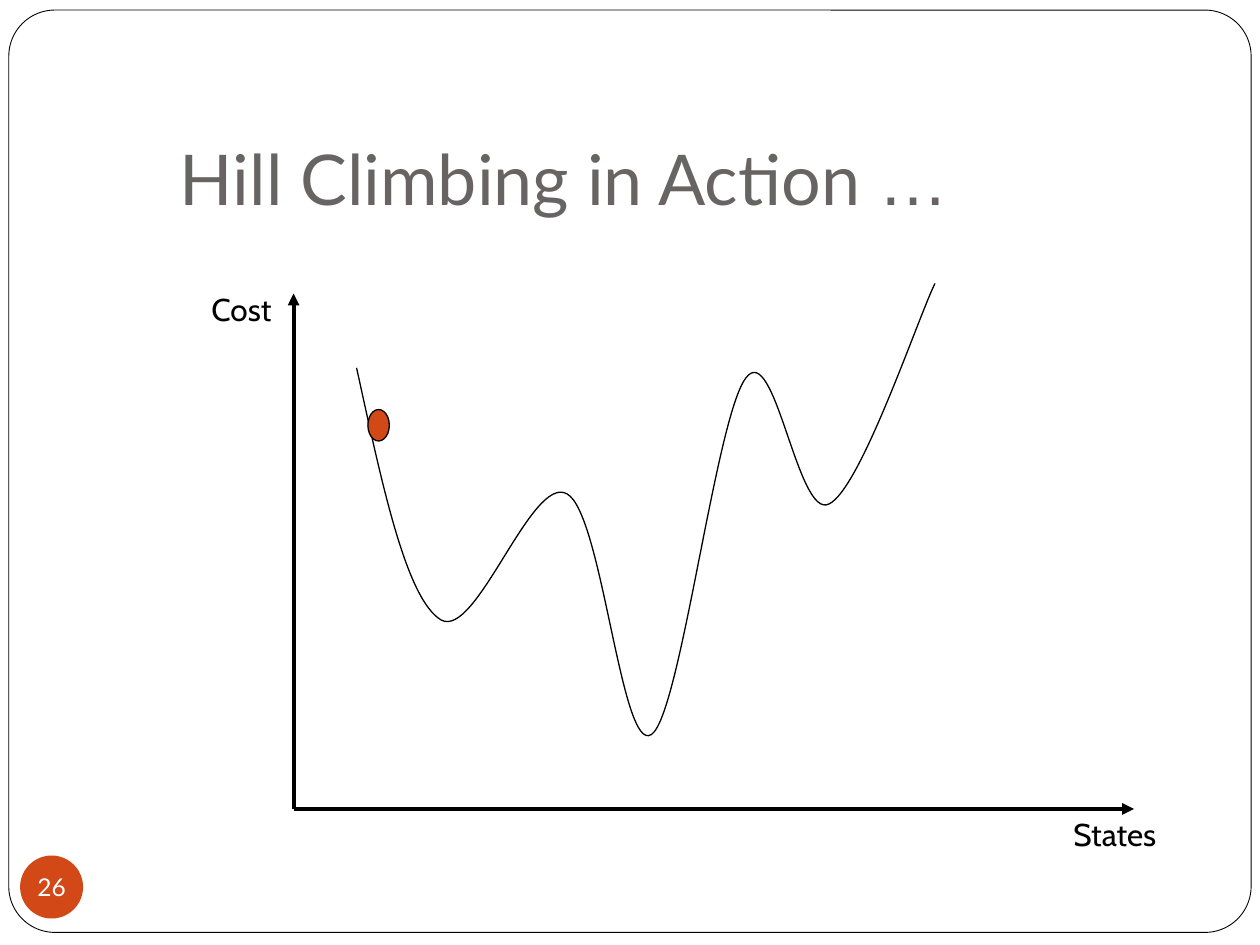
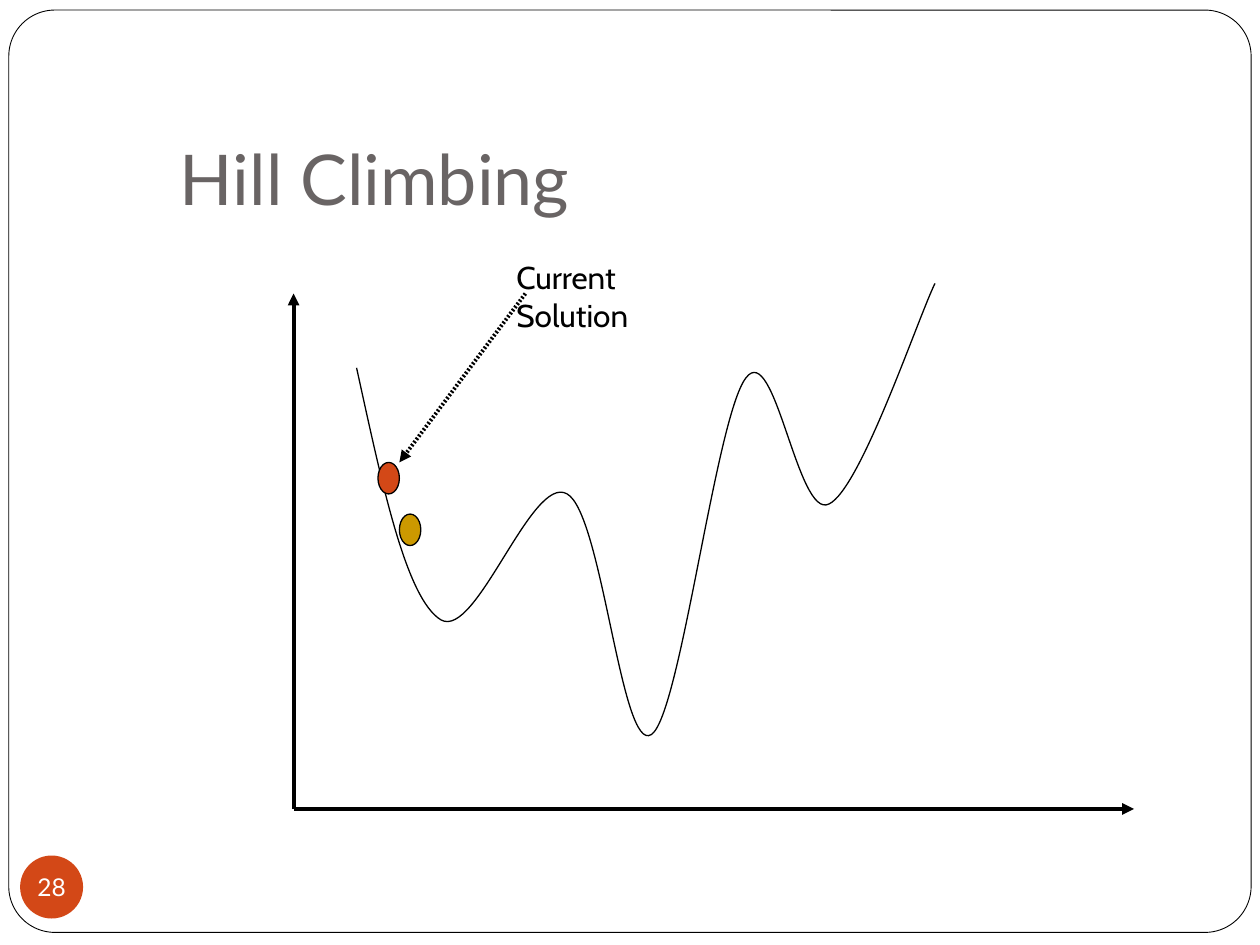
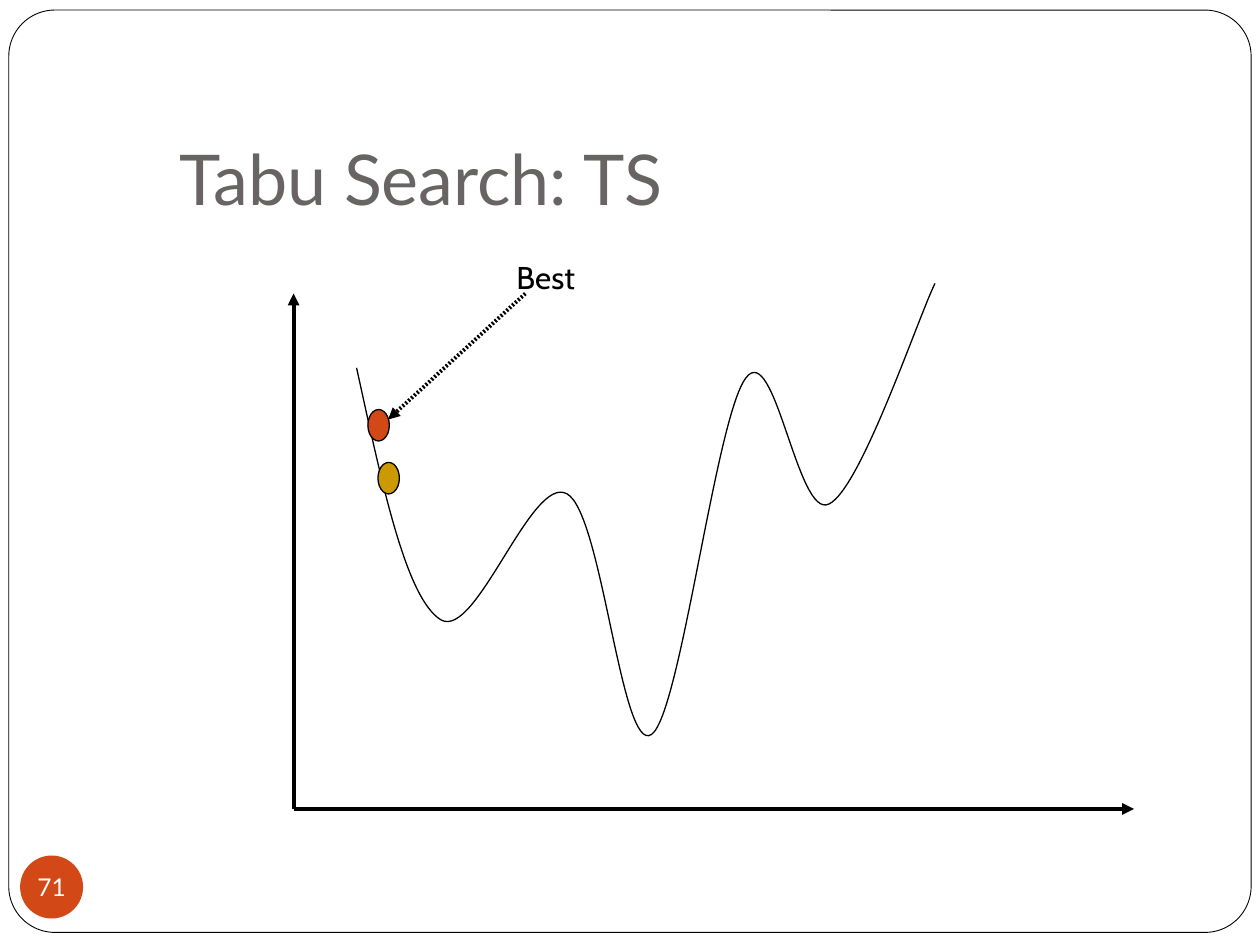
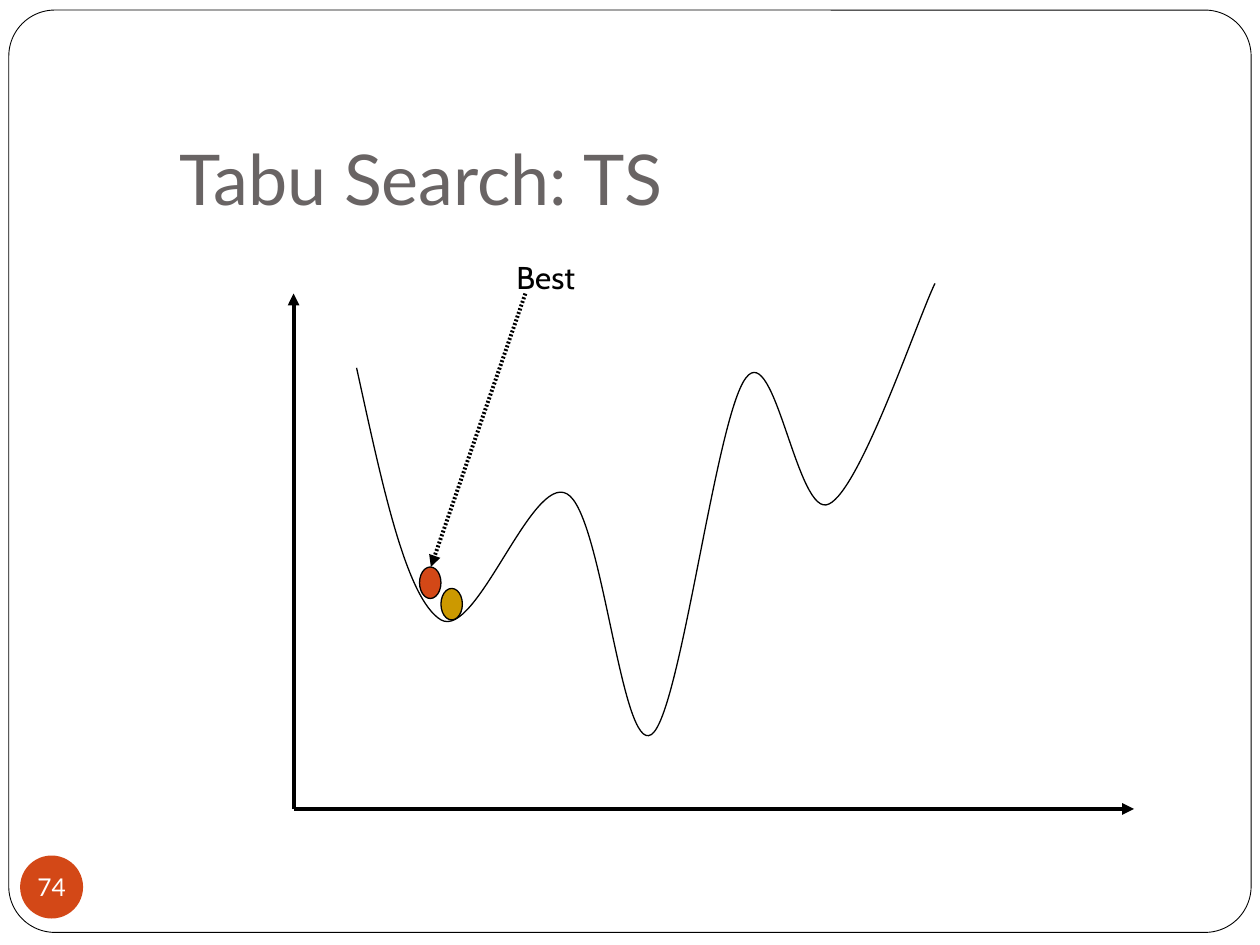
import pptx
import pptx.dml.color
import pptx.enum.shapes
import pptx.enum.text
import pptx.oxml
import pptx.oxml.ns
import pptx.util
from pptx.util import Inches

COLORS = {
    "paper": "FFFFFF",
    "ink": "000000",
    "title": "696464",
    "current": "D34817",
    "neighbour": "CC9900",
}
FONTS = {"heading": "Lato", "ellipsis": "Arial", "label": "Cabin"}
SHAPES = pptx.enum.shapes.MSO_SHAPE
ANCHOR = pptx.enum.text.MSO_ANCHOR
AUTO_SIZE = pptx.enum.text.MSO_AUTO_SIZE

ORIGIN = (2.33, 6.42)
COST_AXIS_END = (2.33, 2.33)
STATES_AXIS_END = (9, 6.42)
CALLOUT_START = (4.17, 2.33)
BALL_SIZE = (0.17, 0.25)

COST_CURVE_START = (2.83, 2.92)
# Each segment: two control points and an end point
COST_CURVE = [
    ((3.03, 3.83), (3.22, 4.75), (3.5, 4.92)),
    ((3.78, 5.08), (4.22, 3.76), (4.5, 3.92)),
    ((4.78, 4.07), (4.93, 5.99), (5.17, 5.83)),
    ((5.4, 5.68), (5.68, 3.31), (5.92, 3)),
    ((6.15, 2.69), (6.33, 4.13), (6.58, 4)),
    ((6.83, 3.88), (7.28, 2.54), (7.42, 2.25)),
]

SEARCH_STEPS = [
    {"title": "Hill Climbing", "page": 28, "callout": "Current Solution", "callout_height": 0.7,
     "current": (3, 3.67), "neighbour": (3.17, 4.08), "arrow_end": (3.17, 3.67)},
    {"title": "Tabu Search: TS", "page": 71, "callout": "Best", "callout_height": 0.4,
     "current": (2.92, 3.25), "neighbour": (3, 3.67), "arrow_end": (3.08, 3.33)},
    {"title": "Tabu Search: TS", "page": 74, "callout": "Best", "callout_height": 0.4,
     "current": (3.33, 4.5), "neighbour": (3.5, 4.67), "arrow_end": (3.42, 4.5)},
]


def rgb(name):
    return pptx.dml.color.RGBColor.from_string(COLORS[name])


def drawing_element(tag, attributes="", content=""):
    namespace = pptx.oxml.ns.nsdecls("a")
    return pptx.oxml.parse_xml(f"<a:{tag} {namespace} {attributes}>{content}</a:{tag}>")


def apply_format(target, values):
    for attribute, value in values.items():
        setattr(target, attribute, value)


def add_run(paragraph, text, font, size, color):
    run = paragraph.add_run()
    run.text = text
    apply_format(run.font, {"name": FONTS[font], "size": pptx.util.Pt(size)})
    run.font.color.rgb = rgb(color)


def set_outline(shape, width):
    shape.line.color.rgb = rgb("ink")
    shape.line.width = pptx.util.Pt(width)


def add_filled_shape(slide, kind, position, size, fill, outline=None):
    shape = slide.shapes.add_shape(kind, *map(Inches, position + size))
    shape.shadow.inherit = False
    shape.fill.solid()
    shape.fill.fore_color.rgb = rgb(fill)
    if outline:
        set_outline(shape, outline)
    else:
        shape.line.fill.background()
    return shape


def add_frame(slide):
    frame = add_filled_shape(slide, SHAPES.ROUNDED_RECTANGLE,
                             (0.07, 0.08), (9.86, 7.32), "paper", 0.5)
    frame.adjustments[0] = 0.05


def add_title(slide, title):
    """Write the title, with a closing ellipsis in its own font."""
    box = slide.shapes.add_textbox(*map(Inches, (1.33, 0.94, 8.52, 0.9)))
    apply_format(box.text_frame, {"word_wrap": True, "vertical_anchor": ANCHOR.BOTTOM,
                                  "margin_bottom": Inches(0.1)})
    words, ellipsis, _ = title.partition("…")
    paragraph = box.text_frame.paragraphs[0]
    add_run(paragraph, words, "heading", 40, "title")
    if ellipsis:
        add_run(paragraph, ellipsis, "ellipsis", 40, "title")


def add_page_number(slide, page):
    badge = add_filled_shape(slide, SHAPES.OVAL, (0.16, 6.79), (0.5, 0.5), "current")
    apply_format(badge.text_frame, {
        "margin_left": 0, "margin_top": 0, "margin_right": 0, "margin_bottom": 0,
        "word_wrap": False, "vertical_anchor": ANCHOR.MIDDLE,
    })
    paragraph = badge.text_frame.paragraphs[0]
    paragraph.alignment = pptx.enum.text.PP_ALIGN.CENTER
    add_run(paragraph, str(page), "heading", 14, "paper")


def add_arrow(slide, start, end, head="tailEnd", dotted=False):
    """Draw an arrow; tailEnd puts its head at the end, headEnd at the start."""
    arrow = slide.shapes.add_connector(pptx.enum.shapes.MSO_CONNECTOR.STRAIGHT,
                                       *map(Inches, start + end))
    set_outline(arrow, 2.25)
    line = arrow.line._get_or_add_ln()
    if dotted:
        line.append(drawing_element("custDash", content='<a:ds d="50000" sp="50000"/>'))
    line.append(drawing_element(head, 'type="triangle"'))
    arrow._element.spPr.append(drawing_element("effectLst"))


def add_cost_curve(slide):
    """Outline the curve's points, then join each three as one Bezier segment."""
    builder = slide.shapes.build_freeform(*map(Inches, COST_CURVE_START))
    builder.add_line_segments(
        [tuple(map(Inches, point)) for segment in COST_CURVE for point in segment],
        close=False)
    curve = builder.convert_to_shape()
    curve.shadow.inherit = False
    curve.fill.background()
    set_outline(curve, 0.75)

    straight_lines = list(curve._element.iter(pptx.oxml.ns.qn("a:lnTo")))
    outline = straight_lines[0].getparent()
    for first in range(0, len(straight_lines), 3):
        bezier = drawing_element("cubicBezTo")
        for line in straight_lines[first:first + 3]:
            bezier.append(line[0])
            outline.remove(line)
        outline.append(bezier)


def add_ball(slide, position, role):
    add_filled_shape(slide, SHAPES.OVAL, position, BALL_SIZE, role, 0.75)


def add_label(slide, text, position, size):
    label = slide.shapes.add_textbox(*map(Inches, position + size))
    apply_format(label.text_frame, {"word_wrap": True,
                                    "auto_size": AUTO_SIZE.SHAPE_TO_FIT_TEXT})
    add_run(label.text_frame.paragraphs[0], text, "label", 18, "ink")


def add_landscape_slide(deck, title, page):
    """Add a slide with the frame, title, page number, axes and cost curve."""
    slide = deck.slides.add_slide(deck.slide_layouts[6])
    add_frame(slide)
    add_title(slide, title)
    add_page_number(slide, page)
    add_arrow(slide, COST_AXIS_END, ORIGIN, head="headEnd")
    add_arrow(slide, ORIGIN, STATES_AXIS_END)
    add_cost_curve(slide)
    return slide


def main():
    deck = pptx.Presentation()
    apply_format(deck, {"slide_width": Inches(10), "slide_height": Inches(7.5)})

    opening = add_landscape_slide(deck, "Hill Climbing in Action …", 26)
    add_ball(opening, (2.92, 3.25), "current")
    add_label(opening, "Cost", (1.58, 2.25), (1.08, 0.4))
    add_label(opening, "States", (8.42, 6.42), (1.17, 0.4))

    for step in SEARCH_STEPS:
        slide = add_landscape_slide(deck, step["title"], step["page"])
        add_ball(slide, step["neighbour"], "neighbour")
        add_arrow(slide, CALLOUT_START, step["arrow_end"], dotted=True)
        add_ball(slide, step["current"], "current")
        add_label(slide, step["callout"], (4, 2), (1.17, step["callout_height"]))

    deck.save("out.pptx")


if __name__ == "__main__":
    main()
